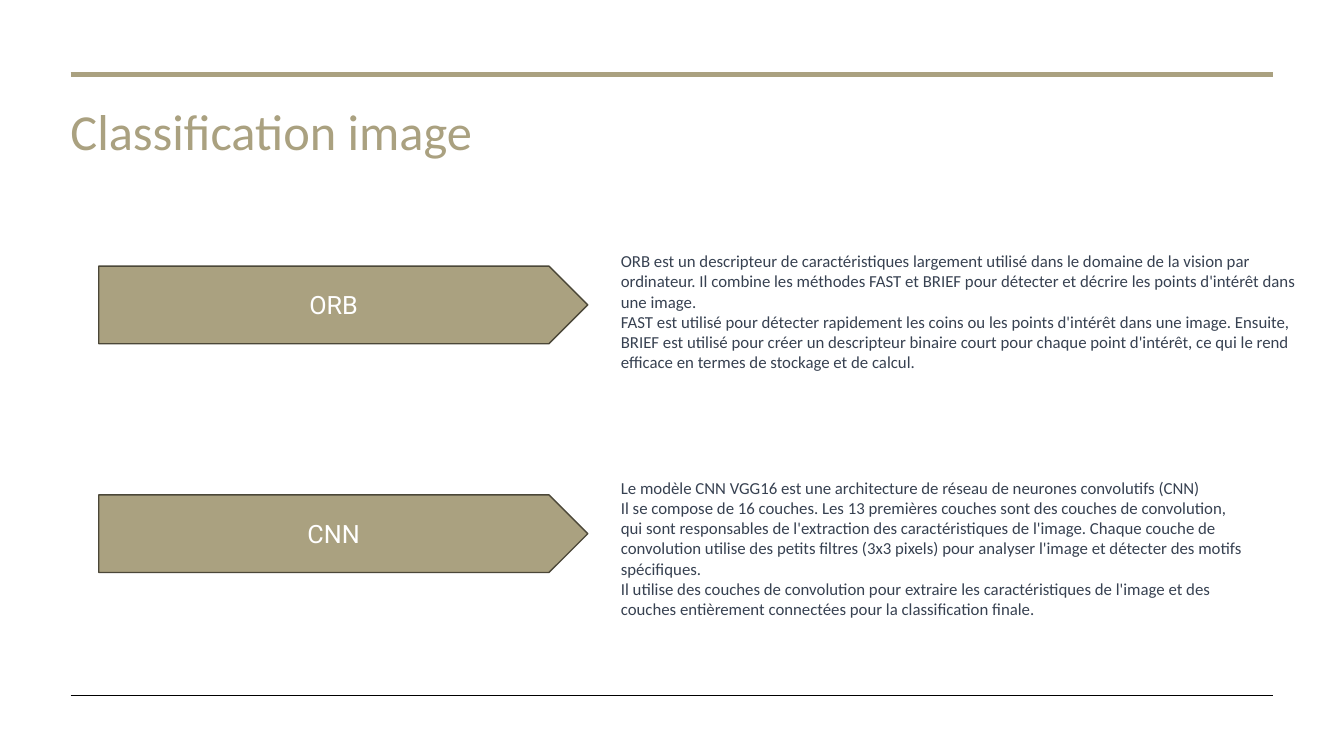
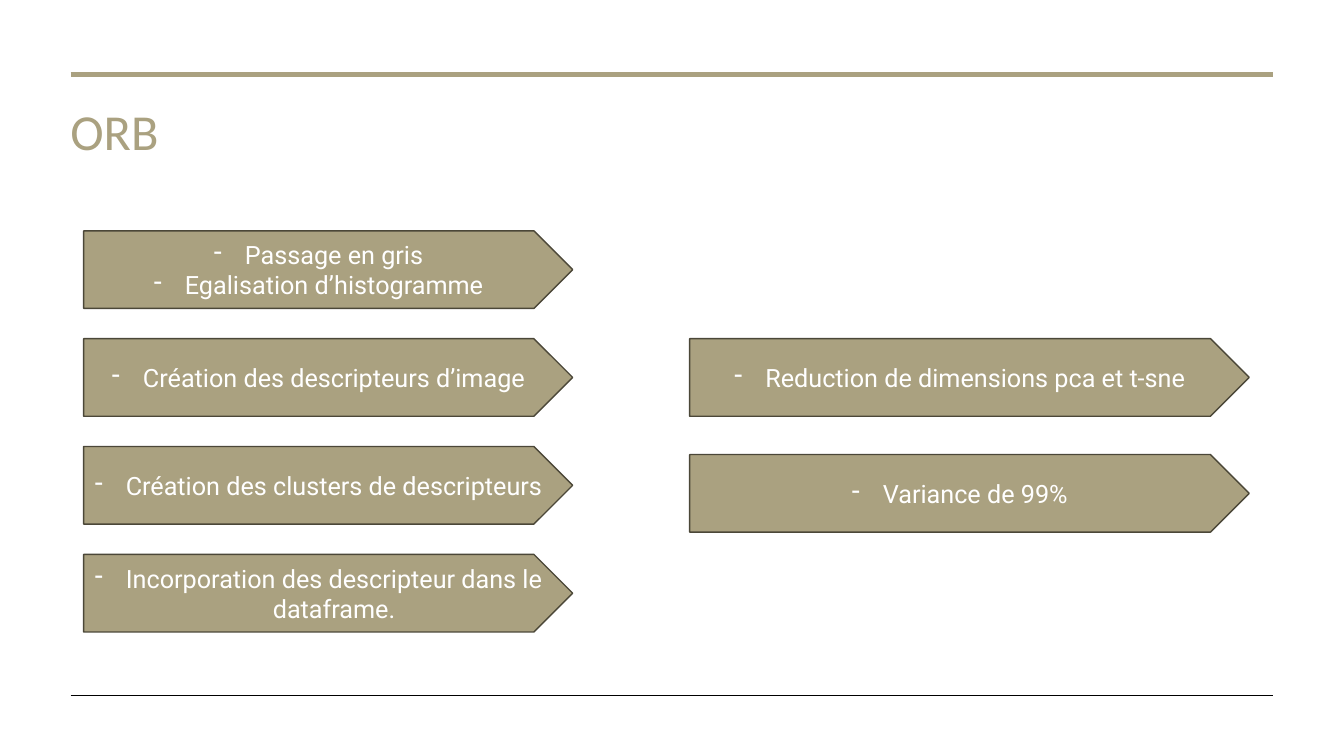
"""Build two slides on image classification with ORB and CNN."""
from dataclasses import dataclass

from lxml import etree
from pptx import Presentation
from pptx.dml.color import RGBColor
from pptx.enum.shapes import MSO_CONNECTOR, MSO_SHAPE
from pptx.enum.text import MSO_ANCHOR, PP_ALIGN
from pptx.oxml.ns import qn
from pptx.slide import Slide
from pptx.text.text import TextFrame
from pptx.util import Inches, Pt

KHAKI = RGBColor(0xAA, 0xA1, 0x80)
OLIVE = RGBColor(0x4B, 0x47, 0x38)
SLATE = RGBColor(0x37, 0x41, 0x51)
BLACK = RGBColor(0x00, 0x00, 0x00)
WHITE = RGBColor(0xFF, 0xFF, 0xFF)

STRAIGHT = MSO_CONNECTOR.STRAIGHT
PENTAGON = MSO_SHAPE.PENTAGON
MIDDLE = MSO_ANCHOR.MIDDLE
CENTER = PP_ALIGN.CENTER

BODY_FONT = "Calibri"
ARROW_FONT = "Roboto"
ARROW_HEIGHT = 0.77
DASH_INDENT = Inches(0.31)
BLANK_LAYOUT = 6


@dataclass(frozen=True)
class Rule:
    """A horizontal line across the slide."""
    top: float
    color: RGBColor
    weight: float


@dataclass(frozen=True)
class Method:
    """A classification method and its explanation."""
    name: str
    arrow_top: float
    details_top: float
    details_width: float
    details_height: float
    details: tuple[str, ...]


@dataclass(frozen=True)
class StepColumn:
    """A column of evenly spaced step arrows."""
    left: float
    top: float
    width: float
    pitch: float
    steps: tuple[tuple[str, ...], ...]


RULES = (Rule(0.74, KHAKI, 3), Rule(6.9, BLACK, 0.5))

METHODS = (
    Method("ORB", 2.64, 2.44, 6.9, 1.31, (
        "ORB est un descripteur de caractéristiques largement utilisé dans le domaine "
        "de la vision par ordinateur. Il combine les méthodes FAST et BRIEF pour "
        "détecter et décrire les points d'intérêt dans une image.",
        "FAST est utilisé pour détecter rapidement les coins ou les points d'intérêt "
        "dans une image. Ensuite, BRIEF est utilisé pour créer un descripteur binaire "
        "court pour chaque point d'intérêt, ce qui le rend efficace en termes de "
        "stockage et de calcul.",
    )),
    Method("CNN", 4.91, 4.69, 6.44, 1.51, (
        "Le modèle CNN VGG16 est une architecture de réseau de neurones convolutifs (CNN)",
        "Il se compose de 16 couches. Les 13 premières couches sont des couches de "
        "convolution, qui sont responsables de l'extraction des caractéristiques de "
        "l'image. Chaque couche de convolution utilise des petits filtres (3x3 pixels) "
        "pour analyser l'image et détecter des motifs spécifiques.",
        "Il utilise des couches de convolution pour extraire les caractéristiques de "
        "l'image et des couches entièrement connectées pour la classification finale.",
    )),
)

STEP_COLUMNS = (
    StepColumn(0.83, 2.29, 4.85, 1.07, (
        ("Passage en gris", "Egalisation d’histogramme"),
        ("Création des descripteurs d’image",),
        ("Création des clusters de descripteurs",),
        ("Incorporation des descripteur dans le dataframe.",),
    )),
    StepColumn(6.84, 3.36, 5.55, 1.15, (
        ("Reduction de dimensions pca et t-sne",),
        ("Variance de 99%",),
    )),
)


def write(frame: TextFrame, lines: tuple[str, ...], font: str, size: float,
          color: RGBColor) -> None:
    """Fill a text frame with one paragraph per line, in one style."""
    frame.word_wrap = True
    frame.text = "\n".join(lines)
    for paragraph in frame.paragraphs:
        for run in paragraph.runs:
            run.font.name = font
            run.font.size = Pt(size)
            run.font.color.rgb = color


def add_text(slide: Slide, left: float, top: float, width: float, height: float,
             lines: tuple[str, ...], size: float, color: RGBColor) -> TextFrame:
    """Add a wrapped text box in the body font."""
    box = slide.shapes.add_textbox(Inches(left), Inches(top), Inches(width), Inches(height))
    write(box.text_frame, lines, BODY_FONT, size, color)
    return box.text_frame


def add_rule(slide: Slide, rule: Rule) -> None:
    """Draw a line from margin to margin."""
    line = slide.shapes.add_connector(
        STRAIGHT, Inches(0.7), Inches(rule.top), Inches(12.63), Inches(rule.top))
    line.line.color.rgb = rule.color
    line.line.width = Pt(rule.weight)
    etree.SubElement(line._element.spPr, qn("a:effectLst"))


def add_arrow(slide: Slide, left: float, top: float, width: float,
              lines: tuple[str, ...], dashed: bool = False) -> None:
    """Add an arrow-shaped label, with dash bullets if asked."""
    arrow = slide.shapes.add_shape(
        PENTAGON, Inches(left), Inches(top), Inches(width), Inches(ARROW_HEIGHT))
    arrow.shadow.inherit = False
    arrow.fill.solid()
    arrow.fill.fore_color.rgb = KHAKI
    arrow.line.color.rgb = OLIVE
    arrow.line.width = Pt(1)
    frame = arrow.text_frame
    frame.vertical_anchor = MIDDLE
    write(frame, lines, ARROW_FONT, 18, WHITE)
    for paragraph in frame.paragraphs:
        paragraph.alignment = CENTER
        if dashed:
            properties = paragraph._p.get_or_add_pPr()
            properties.set("marL", str(DASH_INDENT))
            properties.set("indent", str(-DASH_INDENT))
            etree.SubElement(properties, qn("a:buChar"), char="-")


def add_titled_slide(deck: Presentation, title: str) -> Slide:
    """Add a slide with the shared rules and title style."""
    slide = deck.slides.add_slide(deck.slide_layouts[BLANK_LAYOUT])
    for rule in RULES:
        add_rule(slide, rule)
    frame = add_text(slide, 0.6, 1.04, 12.02, 1.18, (title,), 36, KHAKI)
    frame.paragraphs[0].line_spacing = 0.85
    return slide


def build_methods(deck: Presentation) -> None:
    """Present the two classification methods."""
    slide = add_titled_slide(deck, "Classification image")
    for method in METHODS:
        add_arrow(slide, 0.98, method.arrow_top, 4.85, (method.name,))
        add_text(slide, 6.06, method.details_top, method.details_width,
                 method.details_height, method.details, 12, SLATE)


def build_orb_steps(deck: Presentation) -> None:
    """Present the steps of the ORB method."""
    slide = add_titled_slide(deck, "ORB")
    for column in STEP_COLUMNS:
        for row, step in enumerate(column.steps):
            add_arrow(slide, column.left, column.top + row * column.pitch,
                      column.width, step, dashed=True)


def main() -> None:
    """Build and save the deck."""
    deck = Presentation()
    deck.slide_width = Inches(13.33)
    deck.slide_height = Inches(7.5)
    build_methods(deck)
    build_orb_steps(deck)
    deck.save("out.pptx")


if __name__ == "__main__":
    main()
